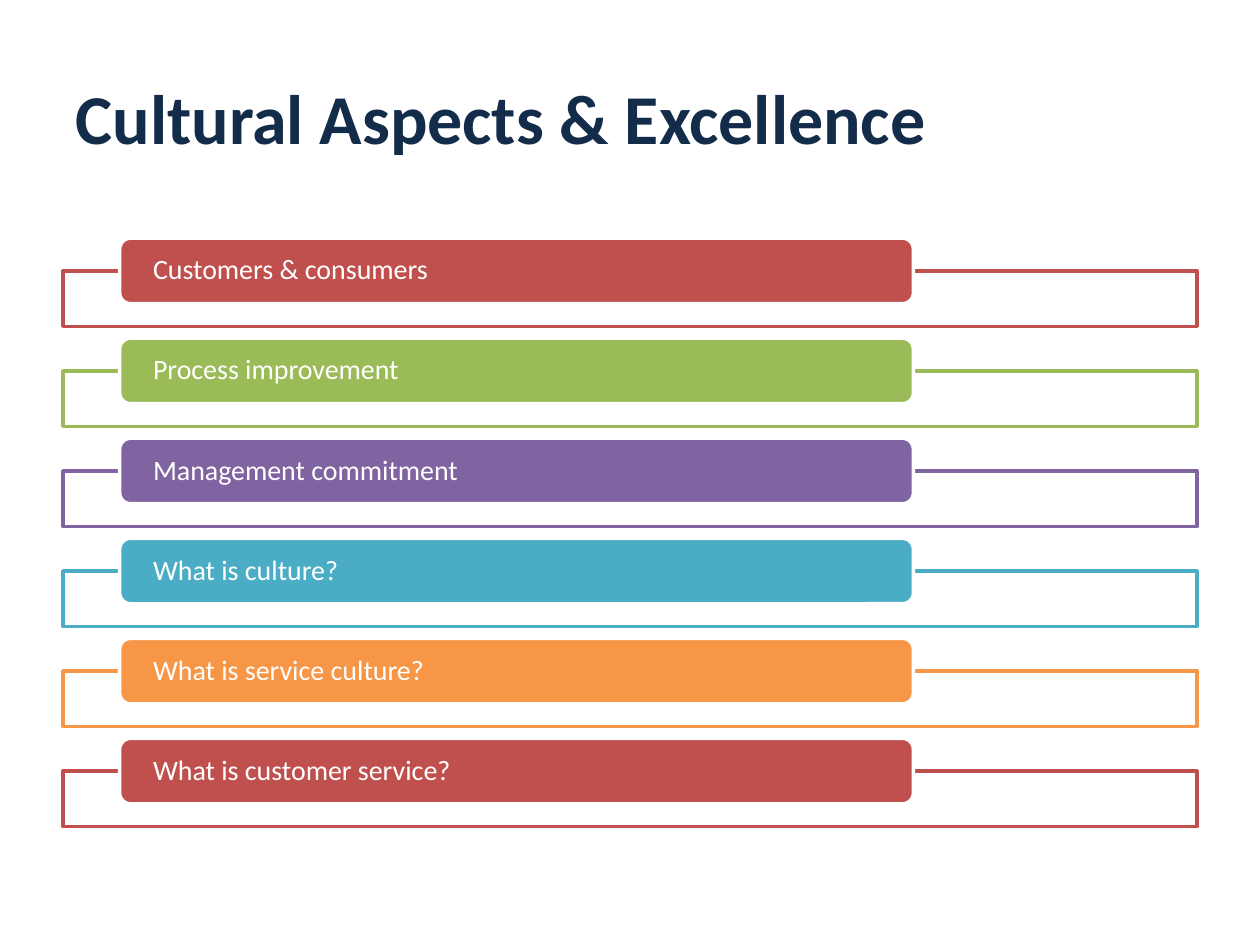
"""Build the slide listing six cultural aspects as labelled bars over outlined frames."""
from lxml.etree import SubElement
from pptx import Presentation
from pptx.dml.color import RGBColor
from pptx.enum.shapes import MSO_SHAPE as Shape
from pptx.enum.text import MSO_ANCHOR as Anchor, PP_ALIGN as Align
from pptx.oxml.ns import qn
from pptx.util import Inches, Pt

NAVY = RGBColor(0x13, 0x2C, 0x4A)
WHITE = RGBColor(0xFF, 0xFF, 0xFF)
RED = RGBColor(0xC0, 0x50, 0x4D)
GREEN = RGBColor(0x9B, 0xBB, 0x59)
PURPLE = RGBColor(0x80, 0x64, 0xA2)
TEAL = RGBColor(0x4B, 0xAC, 0xC6)
ORANGE = RGBColor(0xF7, 0x96, 0x46)

FONT = "Calibri"
TITLE = "Cultural Aspects & Excellence"
ASPECTS = [
    ("Customers & consumers", RED),
    ("Process improvement", GREEN),
    ("Management commitment", PURPLE),
    ("What is culture?", TEAL),
    ("What is service culture?", ORANGE),
    ("What is customer service?", RED),
]

WIDTH, HEIGHT = 10, 7.5
MARGIN = WIDTH * 0.05
CONTENT_WIDTH = WIDTH - 2 * MARGIN
FIRST_TOP, LAST_TOP = 1.89, 5.86
ROW_PITCH = (LAST_TOP - FIRST_TOP) / (len(ASPECTS) - 1)
BAR_LEFT = MARGIN + CONTENT_WIDTH * 0.05
BAR_WIDTH = CONTENT_WIDTH * 0.7
BAR_HEIGHT, FRAME_HEIGHT = 0.52, 0.44


def style_text(frame, size, color, bold=False):
    frame.vertical_anchor = Anchor.MIDDLE
    frame.word_wrap = True
    para = frame.paragraphs[0]
    para.alignment = Align.LEFT
    font = para.runs[0].font
    font.name, font.size, font.bold = FONT, Pt(size), bold
    font.color.rgb = color


def add_panel(page, kind, left, top, width, height, fill, line):
    panel = page.shapes.add_shape(
        kind, Inches(left), Inches(top), Inches(width), Inches(height))
    panel.shadow.inherit = False
    panel.fill.solid()
    panel.fill.fore_color.rgb = fill
    panel.line.color.rgb = line
    panel.line.width = Pt(2)
    return panel


def add_aspect(page, row, label, color):
    top = FIRST_TOP + row * ROW_PITCH
    frame = add_panel(page, Shape.RECTANGLE, MARGIN, top + BAR_HEIGHT / 2,
                      CONTENT_WIDTH, FRAME_HEIGHT, WHITE, color)
    fill_color = frame.fill._xPr.find(qn("a:solidFill"))[0]
    SubElement(fill_color, qn("a:alpha"), val="90000")
    bar = add_panel(page, Shape.ROUNDED_RECTANGLE, BAR_LEFT, top,
                    BAR_WIDTH, BAR_HEIGHT, color, WHITE)
    text = bar.text_frame
    text.text = label
    text.margin_left = text.margin_right = Inches(0.24)
    text.margin_top = text.margin_bottom = 0
    text.paragraphs[0].line_spacing = 0.9
    style_text(text, 16, WHITE)


def main():
    deck = Presentation()
    deck.slide_width, deck.slide_height = Inches(WIDTH), Inches(HEIGHT)
    page = deck.slides.add_slide(deck.slide_layouts[5])
    title = page.shapes.title
    title.left, title.top = Inches(MARGIN), Inches(HEIGHT * 0.04)
    title.width, title.height = Inches(CONTENT_WIDTH), Inches(1.25)
    title.text_frame.text = TITLE
    style_text(title.text_frame, 40, NAVY, bold=True)
    for row, (label, color) in enumerate(ASPECTS):
        add_aspect(page, row, label, color)
    deck.save("out.pptx")


if __name__ == "__main__":
    main()
